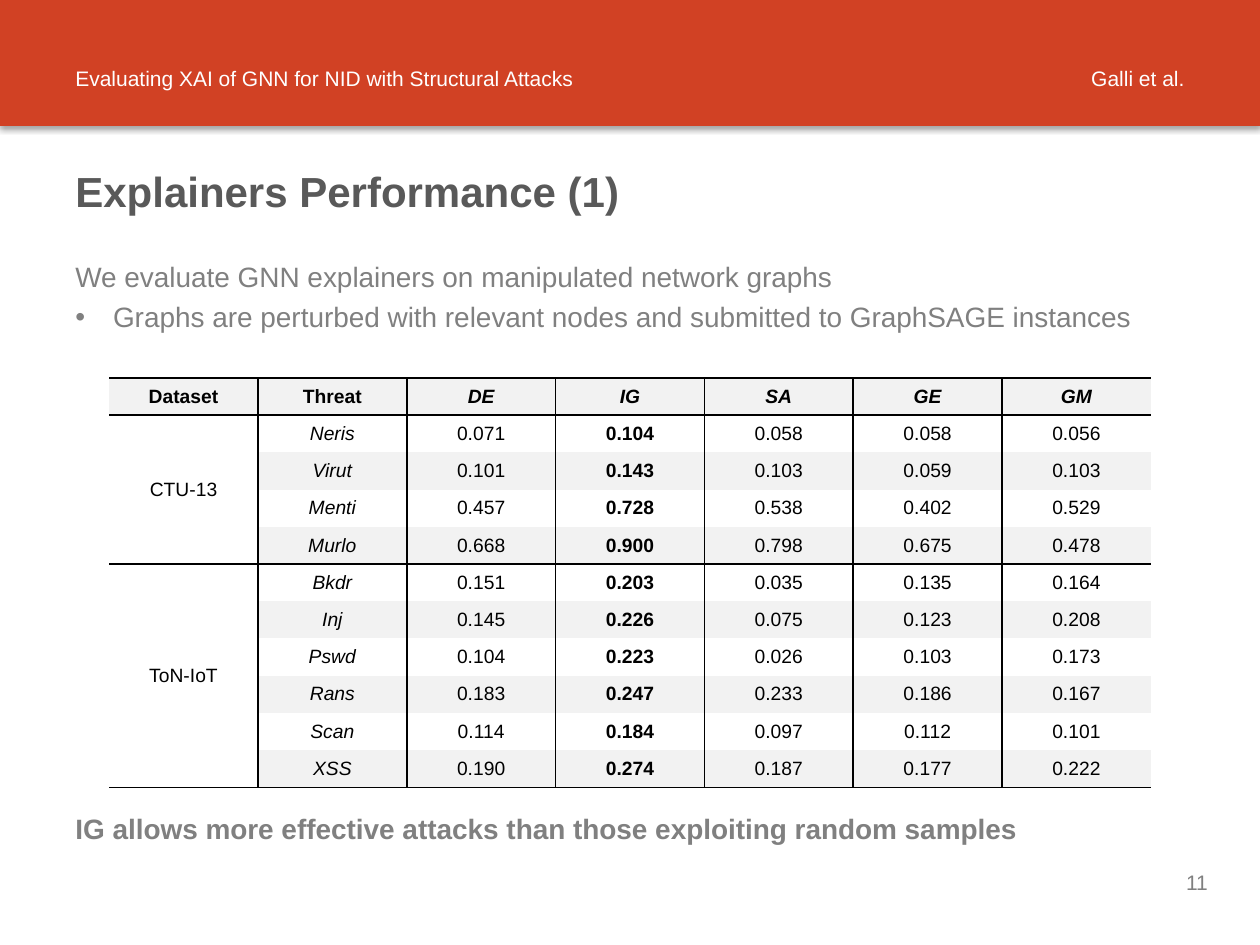
from lxml import etree
from pptx import Presentation
from pptx import util as u
from pptx.dml.color import RGBColor
from pptx.enum import shapes, text
from pptx.oxml import ns

ALIGN = text.PP_ALIGN
MIDDLE = text.MSO_ANCHOR.MIDDLE


def colour(value):
    return RGBColor.from_string(value)


def add_xml(parent, tag, position=None, **attributes):
    """Put a drawing element into parent, at the end or at a position."""
    node = etree.Element(ns.qn(tag), {k: str(v) for k, v in attributes.items()})
    parent.insert(len(parent) if position is None else position, node)
    return node


class Page:
    """The current slide and the style shared by its elements."""
    font, ink, rule, stripe, plain = "Arial", "808080", "000000", "F2F2F2", "FFFFFF"

    def __init__(self, deck):
        self.slide = deck.slides.add_slide(deck.slide_layouts[6])

    def style(self, para, size, ink, align, bold=False, italic=False):
        para.alignment = align
        font = para.font
        font.name, font.size = self.font, u.Pt(size)
        font.bold, font.italic = bold, italic
        font.color.rgb = colour(ink)

    def band(self, left, top, width, height, fill):
        box = self.slide.shapes.add_shape(
            shapes.MSO_SHAPE.RECTANGLE, *map(u.Cm, (left, top, width, height)))
        box.fill.solid()
        box.fill.fore_color.rgb = colour(fill)
        box.line.fill.background()
        box.shadow.inherit = False
        effects = box.element.spPr.find(ns.qn("a:effectLst"))
        shadow = add_xml(effects, "a:outerShdw", blurRad=u.Pt(3.1), dist=u.Pt(1.8),
                         dir=90 * 60000, algn="t", rotWithShape=0)
        black = add_xml(shadow, "a:srgbClr", val=self.rule)
        add_xml(black, "a:alpha", val=35000)

    def text(self, left, top, width, height, lines, size, ink=None, align=ALIGN.LEFT,
             anchor=MIDDLE, bold=False, leading=None):
        """Add a text box and return its paragraphs."""
        frame = self.slide.shapes.add_textbox(
            *map(u.Cm, (left, top, width, height))).text_frame
        frame.word_wrap = True
        frame.vertical_anchor = anchor
        frame.text = "\n".join(lines)
        for para in frame.paragraphs:
            self.style(para, size, ink or self.ink, align, bold)
            if leading:
                para.line_spacing = u.Pt(leading)
        return frame.paragraphs

    def bullet(self, para, indent):
        props = para._p.get_or_add_pPr()
        props.set("marL", str(u.Cm(indent)))
        props.set("indent", str(-u.Cm(indent)))
        add_xml(props, "a:buFont", typeface=self.font)
        add_xml(props, "a:buChar", char="•")
        # the default run properties must follow the bullet
        props.append(props.find(ns.qn("a:defRPr")))

    def borders(self, cell, sides):
        """Rule the given sides of a cell and clear the others."""
        props = cell._tc.get_or_add_tcPr()
        for position, side in enumerate("LRTB"):
            line = add_xml(props, f"a:ln{side}", position, w=u.Pt(1))
            if side in sides:
                fill = add_xml(line, "a:solidFill")
                add_xml(fill, "a:srgbClr", val=self.rule)
            else:
                add_xml(line, "a:noFill")

    def table(self, left, top, column, row, header, groups, best):
        """Add a ruled table whose first column spans each group of rows."""
        rows = [header]
        ruled, spans = {0, 1}, {}
        for name, records in groups.items():
            spans[len(rows)] = len(rows) + len(records) - 1
            rows += [[name if i == 0 else "", *r.split()] for i, r in enumerate(records)]
            ruled.add(len(rows))

        count, last = len(rows), len(header) - 1
        grid = self.slide.shapes.add_table(
            count, last + 1, u.Cm(left), u.Cm(top),
            u.Cm(column * (last + 1)), u.Cm(row * count)).table
        grid.first_row = grid.horz_banding = False
        for line in grid.columns:
            line.width = u.Cm(column)
        for line in grid.rows:
            line.height = u.Cm(row)

        for y, values in enumerate(rows):
            for x, value in enumerate(values):
                cell = grid.cell(y, x)
                head = y == 0
                bottom = spans.get(y, y) if x == 0 else y
                striped = head or (x > 0 and y % 2 == 0)
                cell.fill.solid()
                cell.fill.fore_color.rgb = colour(self.stripe if striped else self.plain)
                cell.vertical_anchor = MIDDLE
                cell.text = value
                self.style(cell.text_frame.paragraphs[0], 11, self.rule, ALIGN.CENTER,
                           bold=head or x == best,
                           italic=x > 1 if head else x == 1)
                drawn = {"L": x > 0, "R": x < last,
                         "T": y in ruled, "B": bottom + 1 in ruled}
                self.borders(cell, [side for side in drawn if drawn[side]])

        for first, end in spans.items():
            grid.cell(first, 0).merge(grid.cell(end, 0))


HEADER = ["Dataset", "Threat", "DE", "IG", "SA", "GE", "GM"]
RESULTS = {
    "CTU-13": [
        "Neris 0.071 0.104 0.058 0.058 0.056",
        "Virut 0.101 0.143 0.103 0.059 0.103",
        "Menti 0.457 0.728 0.538 0.402 0.529",
        "Murlo 0.668 0.900 0.798 0.675 0.478",
    ],
    "ToN-IoT": [
        "Bkdr 0.151 0.203 0.035 0.135 0.164",
        "Inj 0.145 0.226 0.075 0.123 0.208",
        "Pswd 0.104 0.223 0.026 0.103 0.173",
        "Rans 0.183 0.247 0.233 0.186 0.167",
        "Scan 0.114 0.184 0.097 0.112 0.101",
        "XSS 0.190 0.274 0.187 0.177 0.222",
    ],
}


def main():
    deck = Presentation()
    deck.slide_width, deck.slide_height = u.Cm(25.4), u.Cm(19.05)
    page = Page(deck)

    # Header band with talk title and authors
    page.band(0, 0, 25.4, 2.54, "D14124")
    page.text(1.27, 0, 11.43, 2.54, ["Evaluating XAI of GNN for NID with Structural Attacks"],
              12, page.plain, leading=31.2)
    page.text(12.7, 0, 11.43, 2.54, ["Galli et al."],
              12, page.plain, ALIGN.RIGHT, leading=31.2)

    # Title
    page.text(1.27, 2.57, 22.83, 2.54, ["Explainers Performance (1)"], 24, "595959", bold=True)

    # Body: introduction above the table, conclusion below it
    intro, detail, conclusion = page.text(
        1.27, 5.11, 22.83, 12.7,
        ["We evaluate GNN explainers on manipulated network graphs",
         "Graphs are perturbed with relevant nodes and submitted to GraphSAGE instances",
         "IG allows more effective attacks than those exploiting random samples"],
        16, align=ALIGN.JUSTIFY, anchor=text.MSO_ANCHOR.TOP)
    detail.space_before = u.Pt(3.7)
    page.bullet(detail, 0.76)
    conclusion.space_before = u.Pt(273)
    conclusion.font.bold = True

    # Results table
    page.table(2.2, 7.62, 3, 0.75, HEADER, RESULTS, best=HEADER.index("IG"))

    # Page number
    page.text(22.86, 16.51, 2.54, 2.54, ["11"], 12, align=ALIGN.CENTER)

    deck.save("out.pptx")


if __name__ == "__main__":
    main()
